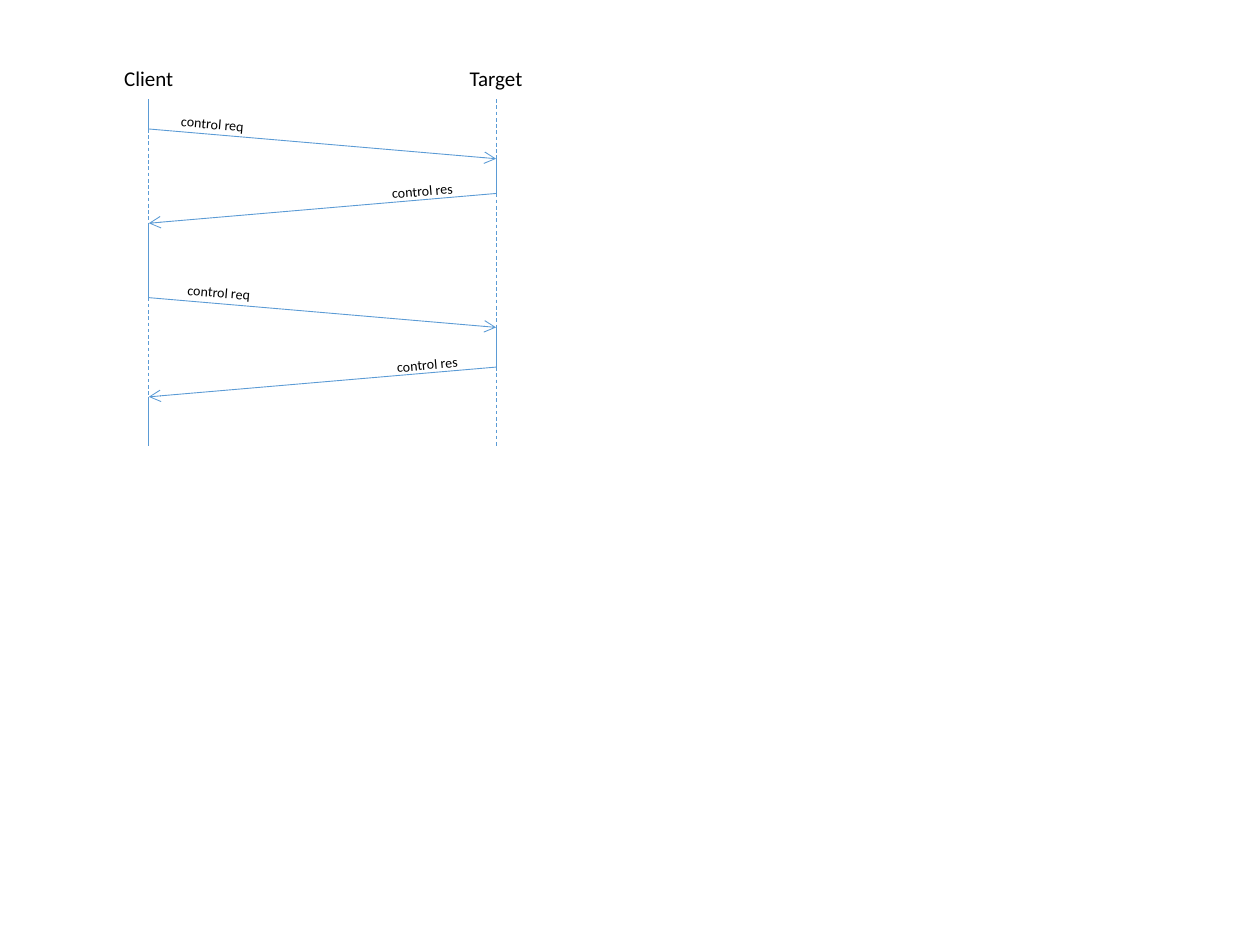
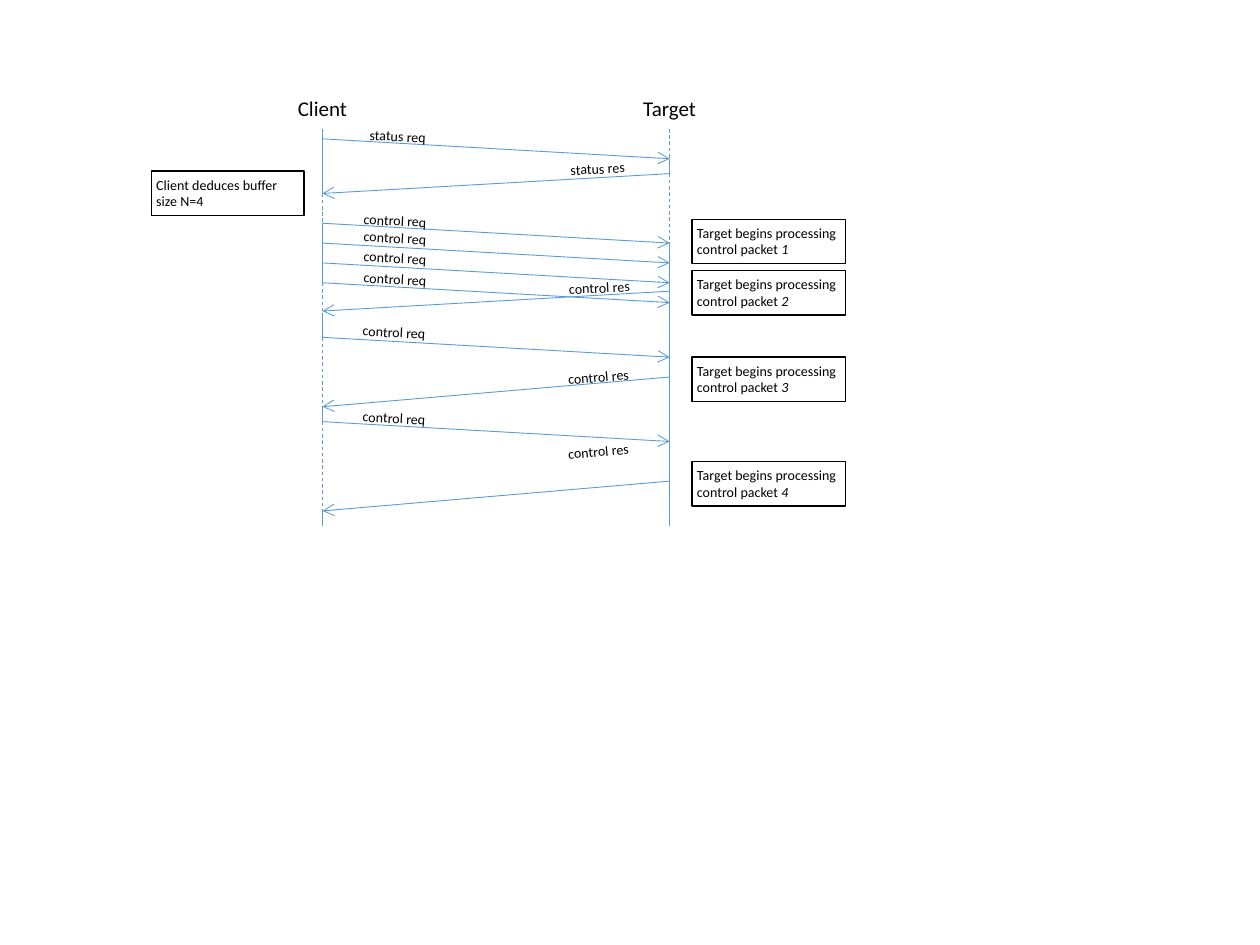
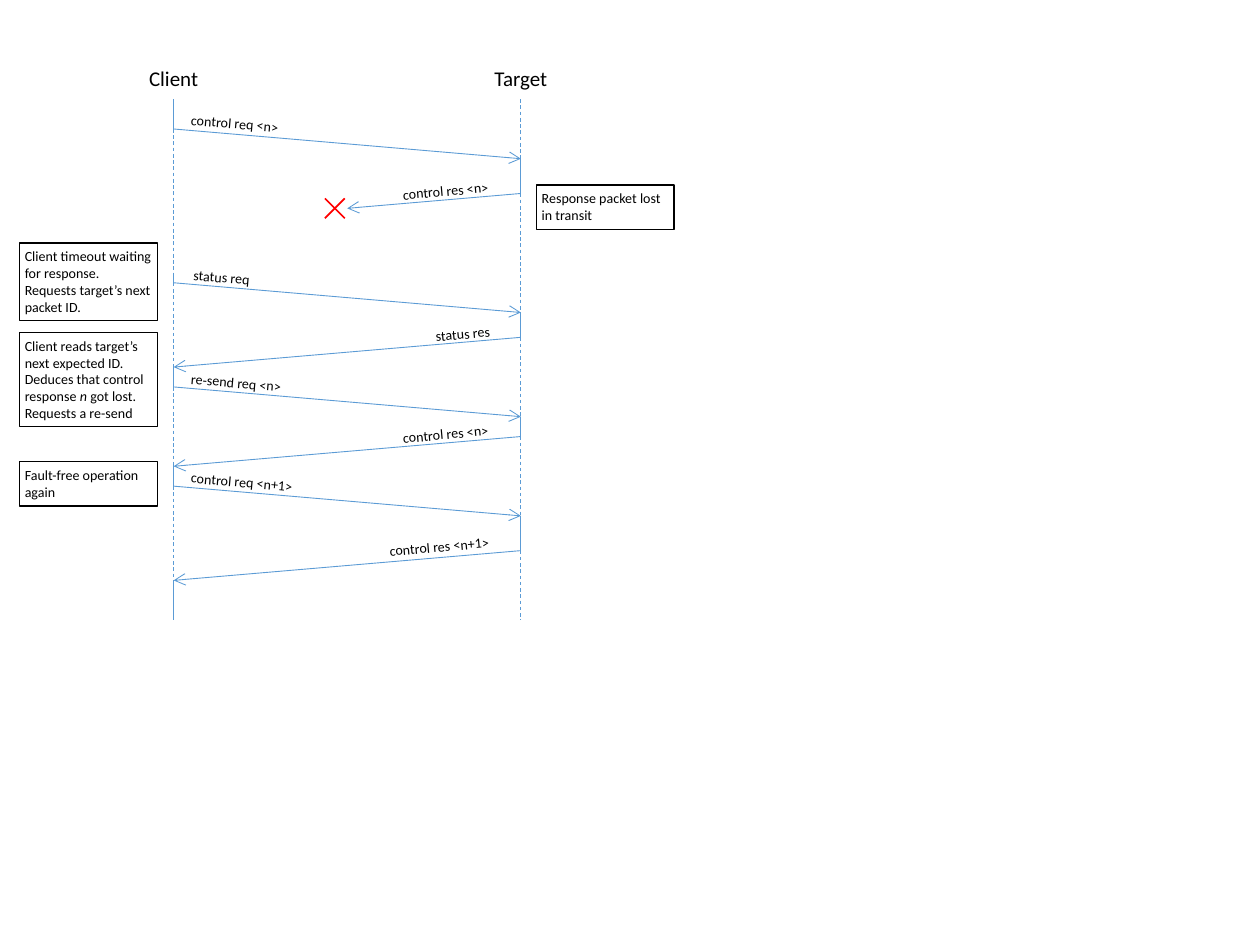
"""Build three client-target sequence diagrams on a centimetre grid."""
from itertools import cycle, pairwise
from math import atan2, degrees

from pptx import Presentation
from pptx.dml.color import RGBColor
from pptx.enum.dml import MSO_LINE
from pptx.enum.shapes import MSO_CONNECTOR, MSO_SHAPE
from pptx.enum.text import MSO_ANCHOR, MSO_AUTO_SIZE, PP_ALIGN
from pptx.oxml.ns import qn
from pptx.util import Cm, Inches, Pt

BLUE, BLACK, RED = "5B9BD5", "000000", "FF0000"
FONT = "Calibri"
SPAN = 7
HEADING_GAP = 0.8
LABEL_WIDTHS = {
    "control req": 1.8, "control res": 1.75,
    "status req": 1.7, "status res": 1.65,
    "control req <n>": 2.35, "control res <n>": 2.3, "re-send req <n>": 2.4,
    "control req <n+1>": 2.6, "control res <n+1>": 2.6,
}

# Lifelines are breakpoints: the client starts solid, the target dashed.
# Messages are label, sent, received, label left from client, label top, reach.
# Notes are left, top, width, height, paragraphs with italics between bars.
diagrams = [
    {
        "client": 3,
        "client_life": [2, 2.6, 4.5, 6, 8, 9],
        "target_life": [2, 3.2, 3.9, 6.6, 7.4, 9],
        "messages": [
            ("control req", 2.6, 3.2, 0.4, 2.2, SPAN),
            ("control res", 3.9, 4.5, 4.65, 3.55, SPAN),
            ("control req", 6, 6.6, 0.53, 5.6, SPAN),
            ("control res", 7.4, 8, 4.75, 7.05, SPAN),
        ],
        "notes": [],
        "crosses": [],
    },
    {
        "client": 6.5,
        "client_life": [2.6, 3.9, 4.5, 5.7, 6.3, 6.8, 8.2, 8.5, 10.3, 10.6],
        "target_life": [2.6, 3.2, 3.5, 4.9, 10.6],
        "messages": [
            ("status req", 2.8, 3.2, 0.7, 2.45, SPAN),
            ("status res", 3.5, 3.9, 4.75, 3.1, SPAN),
            ("control req", 4.5, 4.9, 0.58, 4.15, SPAN),
            ("control req", 4.9, 5.3, 0.58, 4.5, SPAN),
            ("control req", 5.3, 5.7, 0.58, 4.9, SPAN),
            ("control req", 5.7, 6.1, 0.58, 5.33, SPAN),
            ("control res", 5.87, 6.27, 4.72, 5.5, SPAN),
            ("control req", 6.8, 7.2, 0.56, 6.4, SPAN),
            ("control res", 7.6, 8.2, 4.7, 7.3, SPAN),
            ("control req", 8.5, 8.9, 0.56, 8.13, SPAN),
            ("control res", 9.7, 10.3, 4.7, 8.8, SPAN),
        ],
        "notes": [(3.05, 3.45, 3.08, 0.9, ["Client deduces buffer size N=4"])] + [
            (13.95, top, 3.1, 0.9, [f"Target begins processing control packet |{packet}"])
            for packet, top in enumerate([4.42, 5.45, 7.2, 9.3], start=1)
        ],
        "crosses": [],
    },
    {
        "client": 3.5,
        "client_life": [2, 2.6, 5.5, 5.7, 7.4, 7.8, 9.4, 9.8, 11.7, 12.5],
        "target_life": [2, 3.2, 3.9, 6.3, 6.8, 8.4, 8.8, 10.4, 11.1, 12.5],
        "messages": [
            ("control req <n>", 2.6, 3.2, 0.1, 2.2, SPAN),
            ("control res <n>", 3.9, 4.2, 4.37, 3.55, SPAN / 2),
            ("status req", 5.7, 6.3, 0.15, 5.3, SPAN),
            ("status res", 6.8, 7.4, 5.03, 6.43, SPAN),
            ("re-send req <n>", 7.8, 8.4, 0.1, 7.42, SPAN),
            ("control res <n>", 8.8, 9.4, 4.37, 8.45, SPAN),
            ("control req <n+1>", 9.8, 10.4, 0.1, 9.42, SPAN),
            ("control res <n+1>", 11.1, 11.7, 4.1, 10.72, SPAN),
        ],
        "notes": [
            (0.4, 4.9, 2.77, 1.57,
             ["Client timeout waiting for response. Requests target’s next packet ID."]),
            (10.82, 3.73, 2.77, 0.9, ["Response packet lost in transit"]),
            (0.4, 6.7, 2.77, 1.9,
             ["Client reads target’s next expected ID.",
              "Deduces that control response |n| got lost. Requests a re-send"]),
            (0.4, 9.3, 2.77, 0.9, ["Fault-free operation again"]),
        ],
        "crosses": [(6.55, 4, 0.4)],
    },
]


def draw_line(slide, start, end, color=BLUE, width=0.5, dashed=False, arrow=False):
    """Draw a straight line between two grid points."""
    stroke = slide.shapes.add_connector(MSO_CONNECTOR.STRAIGHT, *map(Cm, start + end))
    stroke.line.color.rgb = RGBColor.from_string(color)
    stroke.line.width = Pt(width)
    if dashed:
        stroke.line.dash_style = MSO_LINE.DASH
    properties = stroke._element.spPr
    if arrow:
        outline = stroke.line._get_or_add_ln()
        outline.append(outline.makeelement(qn("a:tailEnd"), {"type": "arrow"}))
    properties.append(properties.makeelement(qn("a:effectLst"), {}))


def write_text(holder, paragraphs, size, align=PP_ALIGN.LEFT, wrap=False):
    """Fill a box with paragraphs whose odd bar-separated parts are italic."""
    frame = holder.text_frame
    frame.word_wrap = wrap
    frame.auto_size = MSO_AUTO_SIZE.SHAPE_TO_FIT_TEXT
    for index, content in enumerate(paragraphs):
        paragraph = frame.add_paragraph() if index else frame.paragraphs[0]
        paragraph.alignment = align
        for position, part in enumerate(content.split("|")):
            run = paragraph.add_run()
            run.text = part
            run.font.name, run.font.size = FONT, Pt(size)
            run.font.color.rgb = RGBColor.from_string(BLACK)
            if position % 2:
                run.font.italic = True


deck = Presentation()
deck.slide_width, deck.slide_height = Inches(10), Inches(7.5)

for diagram in diagrams:
    slide = deck.slides.add_slide(deck.slide_layouts[6])
    client = diagram["client"]
    target = client + SPAN

    for role, x, life, dashes, width in (
        ("Client", client, diagram["client_life"], cycle([False, True]), 1.5),
        ("Target", target, diagram["target_life"], cycle([True, False]), 1.58),
    ):
        heading = slide.shapes.add_textbox(
            Cm(x - width / 2), Cm(life[0] - HEADING_GAP), Cm(width), Cm(0.77))
        write_text(heading, [role], 12, PP_ALIGN.CENTER)
        for (top, bottom), dashed in zip(pairwise(life), dashes):
            draw_line(slide, (x, top), (x, bottom), dashed=dashed)

    for label, sent, received, left, top, reach in diagram["messages"]:
        is_request = " req" in label
        origin, direction = (client, 1) if is_request else (target, -1)
        draw_line(slide, (origin, sent), (origin + direction * reach, received), arrow=True)
        caption = slide.shapes.add_textbox(
            Cm(client + left), Cm(top), Cm(LABEL_WIDTHS[label]), Cm(0.6))
        caption.rotation = direction * round(degrees(atan2(received - sent, reach)))
        write_text(caption, [label], 8)

    for left, top, width, height, paragraphs in diagram["notes"]:
        note = slide.shapes.add_shape(
            MSO_SHAPE.RECTANGLE, Cm(left), Cm(top), Cm(width), Cm(height))
        note.shadow.inherit = False
        note.fill.background()
        note.line.color.rgb = RGBColor.from_string(BLACK)
        note.line.width = Pt(0.75)
        frame = note.text_frame
        frame.margin_left = frame.margin_right = Cm(0.1)
        frame.margin_top = frame.margin_bottom = Cm(0.1)
        frame.vertical_anchor = MSO_ANCHOR.TOP
        write_text(note, paragraphs, 8, wrap=True)

    for left, top, side in diagram["crosses"]:
        right, bottom = left + side, top + side
        draw_line(slide, (left, top), (right, bottom), RED, 1)
        draw_line(slide, (right, top), (left, bottom), RED, 1)

deck.save("out.pptx")
